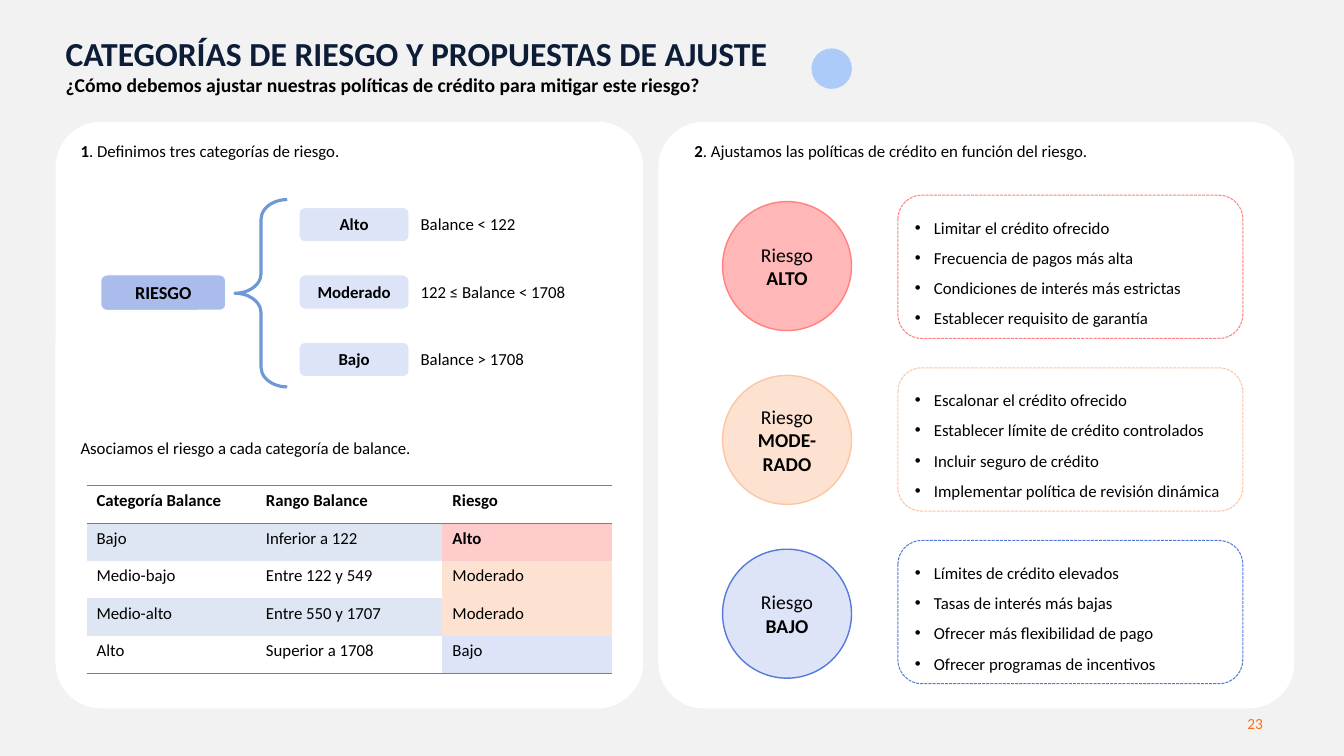
from pptx import Presentation
from pptx.dml.color import RGBColor
from pptx.enum.dml import MSO_LINE
from pptx.enum.shapes import MSO_SHAPE as Preset
from pptx.enum.text import MSO_ANCHOR as Anchor, MSO_AUTO_SIZE as AutoSize, PP_ALIGN as Align
from pptx.oxml.ns import qn
from pptx.util import Cm, Pt
from lxml.etree import SubElement

HEADING = [
    [("CATEGORÍAS DE RIESGO Y PROPUESTAS DE AJUSTE", {"size": 24, "color": "0D1D38"})],
    [("¿Cómo debemos ajustar nuestras políticas de crédito para mitigar este riesgo?", {})],
]
STEPS = [
    ("1", ". Definimos tres categorías de riesgo.", 1.78),
    ("2", ". Ajustamos las políticas de crédito en función del riesgo.", 17.25),
]
PANELS = [(1.4, 14.81), (16.59, 16.03)]
THRESHOLDS = [
    ("Alto", "Balance < 122"),
    ("Moderado", "122 ≤ Balance < 1708"),
    ("Bajo", "Balance > 1708"),
]
TABLE_INTRO = "Asociamos el riesgo a cada categoría de balance."
BALANCE_ROWS = [
    ("Categoría Balance", "Rango Balance", "Riesgo"),
    ("Bajo", "Inferior a 122", "Alto"),
    ("Medio-bajo", "Entre 122 y 549", "Moderado"),
    ("Medio-alto", "Entre 550 y 1707", "Moderado"),
    ("Alto", "Superior a 1708", "Bajo"),
]
COLUMN_WIDTHS = [4.27, 4.7, 4.27]
ROW_HEIGHT = 0.945
RISK_FILLS = {"Alto": "FFCCCC", "Moderado": "FEE2D1", "Bajo": "DDE4F8"}
POLICIES = [
    (["ALTO"], "FFB7B7", "FF8181", [
        "Limitar el crédito ofrecido",
        "Frecuencia de pagos más alta",
        "Condiciones de interés más estrictas",
        "Establecer requisito de garantía"]),
    (["MODE-", "RADO"], "FEE2D1", "FDC5A3", [
        "Escalonar el crédito ofrecido",
        "Establecer límite de crédito controlados",
        "Incluir seguro de crédito",
        "Implementar política de revisión dinámica"]),
    (["BAJO"], "DDE4F8", "557ADA", [
        "Límites de crédito elevados",
        "Tasas de interés más bajas",
        "Ofrecer más flexibilidad de pago",
        "Ofrecer programas de incentivos"]),
]
PAGE = "23"


def rgb(value):
    return RGBColor.from_string(value)


def write(frame, paragraphs, size=12, bold=False, color="000000", align=Align.LEFT,
          anchor=Anchor.TOP, spacing=1.0, bullet=None):
    frame.word_wrap = True
    frame.vertical_anchor = anchor
    for index, content in enumerate(paragraphs):
        paragraph = frame.add_paragraph() if index else frame.paragraphs[0]
        paragraph.alignment = align
        paragraph.line_spacing = spacing
        paragraph.space_before = paragraph.space_after = Pt(0)
        if bullet:
            properties = paragraph._p.get_or_add_pPr()
            properties.set("marL", str(Cm(0.48)))
            properties.set("indent", str(-Cm(0.48)))
            SubElement(properties, qn("a:buFont")).set("typeface", "Arial")
            SubElement(properties, qn("a:buChar")).set("char", bullet)
        for text, changes in [(content, {})] if isinstance(content, str) else content:
            run = paragraph.add_run()
            run.text = text
            run.font.name = "Calibri"
            run.font.size = Pt(changes.get("size", size))
            run.font.bold = changes.get("bold", bold)
            run.font.color.rgb = rgb(changes.get("color", color))


def draw(slide, preset, box, fill=None, line=None, width=0.75, dash=None, adjust=()):
    shape = slide.shapes.add_shape(preset, *map(Cm, box))
    shape.shadow.inherit = False
    if fill:
        shape.fill.solid()
        shape.fill.fore_color.rgb = rgb(fill)
    else:
        shape.fill.background()
    if line:
        shape.line.color.rgb = rgb(line)
        shape.line.width = Pt(width)
        if dash:
            shape.line.dash_style = dash
    else:
        shape.line.fill.background()
    for index, value in enumerate(adjust):
        shape.adjustments[index] = value
    return shape


def set_borders(cell, ruled):
    properties = cell._tc.get_or_add_tcPr()
    for side in ("lnL", "lnR", "lnT", "lnB"):
        border = SubElement(properties, qn(f"a:{side}"))
        if side in ruled:
            border.set("w", str(Pt(1)))
            paint = SubElement(border, qn("a:solidFill"))
            SubElement(paint, qn("a:srgbClr")).set("val", "5C83C4")
        else:
            border.set("w", "0")
            SubElement(border, qn("a:noFill"))


def add_label(slide, box, paragraphs, **style):
    label = slide.shapes.add_textbox(*map(Cm, box))
    write(label.text_frame, paragraphs, **style)


def add_heading(slide):
    title = slide.shapes.title
    title.left, title.top, title.width, title.height = map(Cm, (1.4, 0.69, 31.19, 1.88))
    title.text_frame.auto_size = AutoSize.NONE
    write(title.text_frame, HEADING, size=14, bold=True)
    draw(slide, Preset.OVAL, (20.45, 1.22, 1.02, 1.02), fill="ACCBF9")


def add_risk_tree(slide):
    root = draw(slide, Preset.ROUNDED_RECTANGLE, (2.54, 6.93, 3.15, 0.89), "AABCEC", "FFFFFF")
    write(root.text_frame, ["RIESGO"], size=13, bold=True, align=Align.CENTER)
    draw(slide, Preset.LEFT_BRACE, (5.92, 5.03, 1.32, 4.72), line="6E98D6", width=2.25,
         adjust=(0.375, 0.5))
    for index, (level, limits) in enumerate(THRESHOLDS):
        top = 5.23 + index * 1.7
        tag = draw(slide, Preset.ROUNDED_RECTANGLE, (7.54, top, 2.77, 0.86), "DDE4F8", "FFFFFF")
        write(tag.text_frame, [level], bold=True, align=Align.CENTER)
        limit = draw(slide, Preset.ROUNDED_RECTANGLE, (10.31, top, 5.49, 0.86), line="FFFFFF")
        write(limit.text_frame, [limits])


def add_balance_table(slide):
    last = len(BALANCE_ROWS)
    box = (2.18, 12.24, sum(COLUMN_WIDTHS), last * ROW_HEIGHT)
    table = slide.shapes.add_table(last, len(COLUMN_WIDTHS), *map(Cm, box)).table
    table.first_row = table.horz_banding = False
    for column, width in zip(table.columns, COLUMN_WIDTHS):
        column.width = Cm(width)
    ruled_edges = (0, 1, last)
    for r, entries in enumerate(BALANCE_ROWS):
        table.rows[r].height = Cm(ROW_HEIGHT)
        for c, entry in enumerate(entries):
            cell = table.cell(r, c)
            set_borders(cell, [side for side, edge in (("lnT", r), ("lnB", r + 1))
                               if edge in ruled_edges])
            is_risk = r > 0 and c == 2
            fill = RISK_FILLS[entry] if is_risk else "DEE6F3" if r % 2 else None
            if fill:
                cell.fill.solid()
                cell.fill.fore_color.rgb = rgb(fill)
            else:
                cell.fill.background()
            write(cell.text_frame, [entry], bold=r == 0 or (is_risk and entry == "Alto"))


def add_policies(slide):
    for index, (level, fill, outline, measures) in enumerate(POLICIES):
        circle = draw(slide, Preset.OVAL, (18.21, 5.08 + index * 4.38, 3.25, 3.25),
                      fill, outline, width=1)
        first, *rest = level
        write(circle.text_frame, [[("Riesgo ", {"bold": False}), (first, {})], *rest],
              size=14, bold=True, align=Align.CENTER, anchor=Anchor.MIDDLE)
        card = draw(slide, Preset.ROUNDED_RECTANGLE, (22.63, 4.92 + index * 4.35, 8.69, 3.61),
                    line=outline, dash=MSO_LINE.SQUARE_DOT)
        write(card.text_frame, measures, spacing=1.5, bullet="•")


def main():
    deck = Presentation()
    deck.slide_width, deck.slide_height = Cm(33.87), Cm(19.05)
    slide = deck.slides.add_slide(deck.slide_layouts[5])
    slide.background.fill.solid()
    slide.background.fill.fore_color.rgb = rgb("F2F2F2")
    add_heading(slide)
    for left, width in PANELS:
        draw(slide, Preset.ROUNDED_RECTANGLE, (left, 3.07, width, 14.78), "FFFFFF",
             adjust=(0.078,))
    for number, sentence, left in STEPS:
        add_label(slide, (left, 3.43, 14, 0.76), [[(number, {"bold": True}), (sentence, {})]])
    add_risk_tree(slide)
    add_label(slide, (1.78, 10.9, 14, 0.76), [TABLE_INTRO])
    add_balance_table(slide)
    add_policies(slide)
    add_label(slide, (24.46, 17.73, 7.62, 1.02), [PAGE], size=11, color="FA6F1A",
              align=Align.RIGHT, anchor=Anchor.MIDDLE)
    deck.save("out.pptx")


if __name__ == "__main__":
    main()
